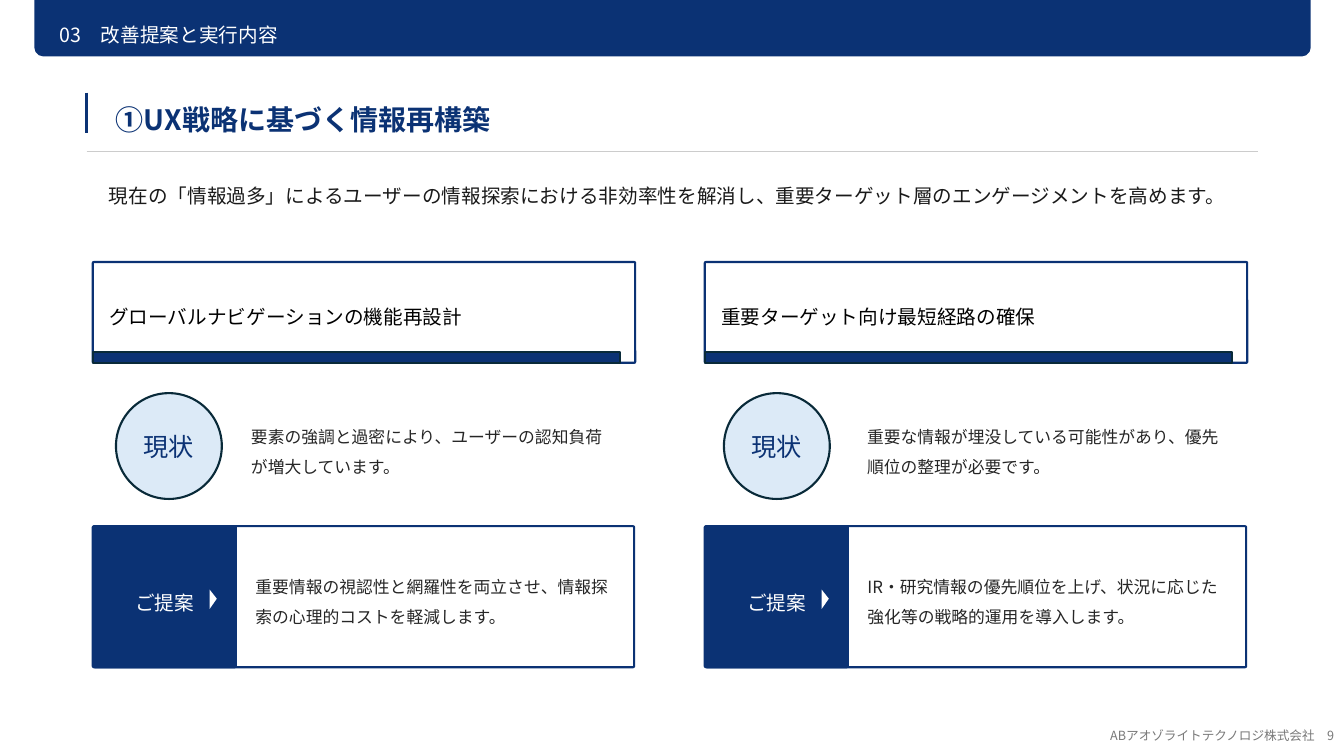
from dataclasses import dataclass
from typing import Optional

from lxml import etree
from pptx import Presentation
from pptx.dml.color import RGBColor
from pptx.enum.shapes import MSO_CONNECTOR, MSO_SHAPE
from pptx.enum.text import MSO_ANCHOR, MSO_AUTO_SIZE, PP_ALIGN
from pptx.oxml.ns import qn
from pptx.shapes.autoshape import Shape
from pptx.slide import Slide
from pptx.util import Emu, Pt

LEFT, CENTER, RIGHT = PP_ALIGN.LEFT, PP_ALIGN.CENTER, PP_ALIGN.RIGHT
TOP, MIDDLE = MSO_ANCHOR.TOP, MSO_ANCHOR.MIDDLE
RECT, ROUND_RECT, ELLIPSE = MSO_SHAPE.RECTANGLE, MSO_SHAPE.ROUNDED_RECTANGLE, MSO_SHAPE.OVAL
TRIANGLE, BANNER = MSO_SHAPE.ISOSCELES_TRIANGLE, MSO_SHAPE.ROUND_2_SAME_RECTANGLE
STRAIGHT = MSO_CONNECTOR.STRAIGHT
NO_AUTOSIZE = MSO_AUTO_SIZE.NONE
EMU_PER_PX = 9144  # 100 px to the inch
TITLE_ONLY = 5
CORNER = 0.01


@dataclass(frozen=True)
class Theme:
    font: str = "Noto Sans CJK JP"
    navy: str = "0B3274"
    outline: str = "092A39"
    pale: str = "DCEAF7"
    rule: str = "CCCCCC"
    white: str = "FFFFFF"
    black: str = "000000"
    lead: str = "1A1A1A"
    body: str = "262626"
    footer: str = "797979"
    title_size: int = 20
    badge_size: int = 18
    heading_size: int = 14
    body_size: int = 12
    footer_size: int = 9
    border: float = 1.5


THEME = Theme()


@dataclass(frozen=True)
class Box:
    left: int
    top: int
    width: int
    height: int


@dataclass(frozen=True)
class TextStyle:
    size: int
    color: str
    align: PP_ALIGN = LEFT
    anchor: MSO_ANCHOR = MIDDLE
    insets: tuple[int, int, int, int] = (16, 16, 16, 16)
    spacing: float = 1.5
    bold: bool = False
    wrap: bool = True


@dataclass(frozen=True)
class Improvement:
    left: int
    badge_left: int
    status_left: int
    heading: str
    status: str
    proposal: str


SECTION = TextStyle(THEME.heading_size, THEME.white, anchor=TOP, insets=(0, 0, 0, 0),
                    spacing=1.3, wrap=False)
TITLE = TextStyle(THEME.title_size, THEME.navy, anchor=TOP, insets=(0, 0, 0, 0),
                  spacing=1.3, bold=True, wrap=False)
FOOTER = TextStyle(THEME.footer_size, THEME.footer, RIGHT, insets=(10, 5, 10, 5), spacing=1.0)
LEAD = TextStyle(THEME.heading_size, THEME.lead, anchor=TOP, insets=(16, 12, 20, 12))
HEADING = TextStyle(THEME.heading_size, THEME.black, anchor=TOP, insets=(16, 31, 20, 31))
BADGE = TextStyle(THEME.badge_size, THEME.navy, CENTER, insets=(10, 5, 10, 5), spacing=1.0)
STATUS = TextStyle(THEME.body_size, THEME.body)
PROPOSAL = TextStyle(THEME.body_size, THEME.body, insets=(161, 16, 16, 16))
PROPOSAL_LABEL = TextStyle(THEME.heading_size, THEME.white, CENTER)

IMPROVEMENTS = (
    Improvement(92, 115, 233, "グローバルナビゲーションの機能再設計",
                "要素の強調と過密により、ユーザーの認知負荷が増大しています。",
                "重要情報の視認性と網羅性を両立させ、情報探索の心理的コストを軽減します。"),
    Improvement(699, 718, 844, "重要ターゲット向け最短経路の確保",
                "重要な情報が埋没している可能性があり、優先順位の整理が必要です。",
                "IR・研究情報の優先順位を上げ、状況に応じた強化等の戦略的運用を導入します。"),
)


def px(value: int) -> Emu:
    return Emu(value * EMU_PER_PX)


def frame(box: Box) -> tuple[Emu, Emu, Emu, Emu]:
    return px(box.left), px(box.top), px(box.width), px(box.height)


def write(target: Shape, text: str, style: TextStyle) -> None:
    text_frame = target.text_frame
    text_frame.text = text
    text_frame.auto_size = NO_AUTOSIZE
    text_frame.word_wrap = style.wrap
    text_frame.vertical_anchor = style.anchor
    (text_frame.margin_left, text_frame.margin_top,
     text_frame.margin_right, text_frame.margin_bottom) = map(px, style.insets)
    paragraph = text_frame.paragraphs[0]
    paragraph.alignment = style.align
    paragraph.line_spacing = style.spacing
    run = paragraph.runs[0]
    run.font.size = Pt(style.size)
    run.font.bold = style.bold
    run.font.color.rgb = RGBColor.from_string(style.color)
    run.font.name = THEME.font
    east_asian = etree.SubElement(run.font._element, qn("a:ea"))
    east_asian.set("typeface", THEME.font)


def add_text(slide: Slide, box: Box, text: str, style: TextStyle) -> None:
    write(slide.shapes.add_textbox(*frame(box)), text, style)


def add_panel(slide: Slide, kind: MSO_SHAPE, box: Box, fill: Optional[str] = None,
              line: Optional[str] = None, adjustments: tuple[float, ...] = (),
              rotation: int = 0) -> Shape:
    panel = slide.shapes.add_shape(kind, *frame(box))
    panel.shadow.inherit = False
    panel.rotation = rotation
    for index, value in enumerate(adjustments):
        panel.adjustments[index] = value
    if fill:
        panel.fill.solid()
        panel.fill.fore_color.rgb = RGBColor.from_string(fill)
    else:
        panel.fill.background()
    if line:
        panel.line.color.rgb = RGBColor.from_string(line)
        panel.line.width = Pt(THEME.border)
    else:
        panel.line.fill.background()
    return panel


def add_rule(slide: Slide, start: tuple[int, int], end: tuple[int, int],
             color: str, width: int) -> None:
    rule = slide.shapes.add_connector(STRAIGHT, *map(px, start + end))
    rule.line.color.rgb = RGBColor.from_string(color)
    rule.line.width = Pt(width)
    etree.SubElement(rule._element.spPr, qn("a:effectLst"))


def add_improvement(slide: Slide, item: Improvement) -> None:
    heading = add_panel(slide, ROUND_RECT, Box(item.left, 260, 538, 100),
                        line=THEME.navy, adjustments=(CORNER,))
    write(heading, item.heading, HEADING)
    add_panel(slide, RECT, Box(item.left, 349, 523, 11), THEME.navy, THEME.outline)

    badge = add_panel(slide, ELLIPSE, Box(item.badge_left, 390, 105, 105),
                      THEME.pale, THEME.outline)
    write(badge, "現状", BADGE)
    add_text(slide, Box(item.status_left, 378, 396, 131), item.status, STATUS)

    label = add_panel(slide, ROUND_RECT, Box(item.left + 1, 522, 141, 140),
                      THEME.navy, THEME.navy, (CORNER,))
    write(label, "ご提案", PROPOSAL_LABEL)
    proposal = add_panel(slide, ROUND_RECT, Box(item.left, 522, 537, 140),
                         line=THEME.navy, adjustments=(CORNER,))
    write(proposal, item.proposal, PROPOSAL)
    add_panel(slide, TRIANGLE, Box(item.left + 110, 591, 19, 7), THEME.white,
              adjustments=(0.47,), rotation=90)


def main() -> None:
    deck = Presentation()
    deck.slide_width, deck.slide_height = px(1333), px(750)
    slide = deck.slides.add_slide(deck.slide_layouts[TITLE_ONLY])

    title = slide.shapes.title
    title.left, title.top, title.width, title.height = frame(Box(115, 92, 379, 41))
    write(title, "①UX戦略に基づく情報再構築", TITLE)

    add_panel(slide, BANNER, Box(34, 0, 1266, 56), THEME.navy,
              adjustments=(0.16, 0), rotation=180)
    add_rule(slide, (86, 92), (86, 132), THEME.navy, 2)
    add_rule(slide, (86, 150), (1248, 150), THEME.rule, 1)
    add_text(slide, Box(59, 16, 228, 29), "03　改善提案と実行内容", SECTION)
    add_text(slide, Box(92, 159, 1147, 56),
             "現在の「情報過多」によるユーザーの情報探索における非効率性を解消し、"
             "重要ターゲット層のエンゲージメントを高めます。", LEAD)
    for item in IMPROVEMENTS:
        add_improvement(slide, item)
    add_text(slide, Box(1033, 710, 300, 40), "ABアオゾライトテクノロジ株式会社　9", FOOTER)

    deck.save("out.pptx")


if __name__ == "__main__":
    main()
